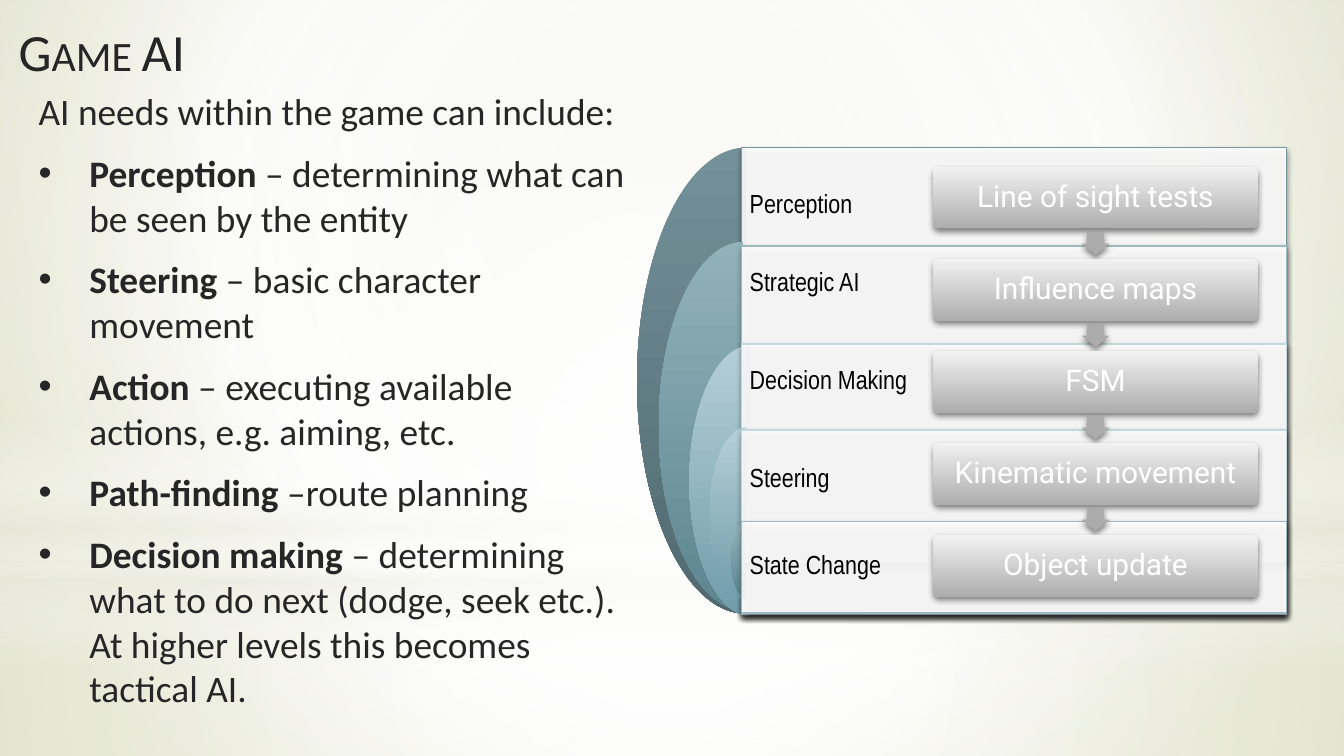
"""Build the Game AI slide with its layered stack and process column."""
from dataclasses import dataclass

from lxml import etree
from pptx import Presentation
from pptx.dml.color import RGBColor
from pptx.enum.shapes import MSO_SHAPE
from pptx.enum.text import MSO_ANCHOR, MSO_AUTO_SIZE, PP_ALIGN
from pptx.oxml.ns import qn
from pptx.util import Cm, Pt

RECTANGLE, ELLIPSE, PIE = MSO_SHAPE.RECTANGLE, MSO_SHAPE.OVAL, MSO_SHAPE.PIE
ROUNDED, ARROW = MSO_SHAPE.ROUNDED_RECTANGLE, MSO_SHAPE.RIGHT_ARROW
MIDDLE, LEFT, CENTER = MSO_ANCHOR.MIDDLE, PP_ALIGN.LEFT, PP_ALIGN.CENTER
NO_FIT = MSO_AUTO_SIZE.NONE

WIDTH, HEIGHT = 25.4, 14.29
INK, WHITE, BLACK = "262626", "FFFFFF", "000000"
HALO = (50, 50, 50, 50)
STACK_LEFT, STACK_WIDTH = 14.02, 10.29
STEP_LEFT, STEP_TOP, STEP_WIDTH, STEP_HEIGHT, STEP_PITCH = 17.63, 3.15, 6.15, 1.17, 1.74
ARROW_LENGTH, ARROW_WIDTH = 0.43, 0.53


@dataclass
class Gradient:
    stops: list[tuple]
    focus: tuple | None = None


@dataclass
class Backdrop:
    kind: int
    top: float
    height: float
    gradient: Gradient


@dataclass
class Layer:
    label: str
    pie: tuple[float, float, float, float]
    top: float
    height: float
    label_height: float
    shades: tuple[str, str]
    outline: str


PAGE_GRADIENT = Gradient([(0, "E3E5D1"), (60, WHITE), (100, "CCD09F")], (20, 10, 20, 60))
BACKDROPS = [
    Backdrop(RECTANGLE, 10.64, 3.65, Gradient(
        [(0, WHITE, 91), (37, WHITE, 76), (100, "EAEBDE", 79)], HALO)),
    Backdrop(RECTANGLE, 0, 10.64, Gradient(
        [(0, WHITE, 89), (48, WHITE, 62), (100, "EAEBDE", 79)], HALO)),
    Backdrop(RECTANGLE, 7.85, 4.78, Gradient(
        [(0, WHITE, 0), (29, WHITE, 30), (45, "EAEBDE", 40),
         (55, WHITE, 26), (65, "EAEBDE", 60), (100, WHITE, 0)])),
    Backdrop(ELLIPSE, 3.33, 10.64, Gradient([(0, WHITE), (56, WHITE, 0)], HALO)),
]
DARK, MEDIUM, LIGHT = ("749199", "516970"), ("92B2BA", "5D8691"), ("B5CFD7", "719DAA")
LAYERS = [
    Layer("Perception", (12.04, 2.79, 4.11, 8.81), 2.79, 8.81, 2.18, DARK, "7C989F"),
    Layer("Strategic AI", (12.45, 4.57, 3.2, 6.96), 4.65, 6.96, 1.42, MEDIUM, "9DB9C1"),
    Layer("Decision Making", (13.03, 6.53, 2.31, 5.11), 6.5, 5.11, 1.42, LIGHT, "C3D8DE"),
    Layer("Steering", (13.41, 8.08, 1.4, 3.25), 8.13, 2.51, 1.85, LIGHT, "C3D8DE"),
    Layer("State Change", (13.82, 9.86, 0.53, 1.42), 9.86, 1.73, 1.68, MEDIUM, "9DB9C1"),
]
STEPS = ["Line of sight tests", "Influence maps", "FSM", "Kinematic movement", "Object update"]
INTRO = "AI needs within the game can include:"
NEEDS = [
    ("Perception", " – determining what can be seen by the entity"),
    ("Steering", " – basic character movement"),
    ("Action", " – executing available actions, e.g. aiming, etc."),
    ("Path-finding ", "–route planning"),
    ("Decision making ", "– determining what to do next (dodge, seek etc.). "
     "At higher levels this becomes tactical AI."),
]
BODY_FONT = {"name": "Calibri", "size": Pt(20)}
LABEL_FONT = {"name": "Arial Narrow", "size": Pt(14)}
STEP_FONT = {"name": "Roboto", "size": Pt(16)}


def colour(value: str) -> RGBColor:
    """Turn a hex string into a colour."""
    return RGBColor.from_string(value)


def apply(target, **values) -> None:
    """Set each named attribute on the target."""
    for name, value in values.items():
        setattr(target, name, value)


def add_child(parent, tag: str, **attributes):
    """Append a drawing element with its attributes."""
    return etree.SubElement(parent, qn(tag), {key: str(value) for key, value in attributes.items()})


def add_colour(parent, value: str, opacity: float = 100) -> None:
    """Append a colour element with its opacity in percent."""
    add_child(add_child(parent, "a:srgbClr", val=value), "a:alpha", val=int(opacity * 1000))


def paint_gradient(fill, properties, gradient: Gradient) -> None:
    """Replace a fill with a vertical or a focused gradient."""
    fill.solid()
    solid = properties.find(qn("a:solidFill"))
    element = etree.Element(qn("a:gradFill"), rotWithShape="1")
    stops = add_child(element, "a:gsLst")
    for position, *shade in gradient.stops:
        add_colour(add_child(stops, "a:gs", pos=position * 1000), *shade)
    if gradient.focus:
        circle = add_child(element, "a:path", path="circle")
        sides = {side: value * 1000 for side, value in zip("ltrb", gradient.focus)}
        add_child(circle, "a:fillToRect", **sides)
    else:
        add_child(element, "a:lin", ang=5400000, scaled=0)
    properties.replace(solid, element)


def draw_shape(shapes, kind: int, area: tuple, fill: str | Gradient, shadow: bool = False):
    """Add a borderless shape with a plain or gradient fill."""
    shape = shapes.add_shape(kind, *map(Cm, area))
    shape.shadow.inherit = False
    shape.line.fill.background()
    properties = shape._element.spPr
    if isinstance(fill, Gradient):
        paint_gradient(shape.fill, properties, fill)
    else:
        shape.fill.solid()
        shape.fill.fore_color.rgb = colour(fill)
    if shadow:
        effect = add_child(properties.find(qn("a:effectLst")), "a:outerShdw", blurRad=Pt(3.1),
                           dist=Pt(1.8), dir=5400000, algn="ctr", rotWithShape=0)
        add_colour(effect, BLACK, 45)
    return shape


def add_span(para, text: str, ink: str, **font) -> None:
    """Append a formatted run to a paragraph."""
    span = para.add_run()
    span.text = text
    apply(span.font, **font)
    span.font.color.rgb = colour(ink)


def write_label(shape, text: str, ink: str, align, margin: float, font: dict) -> None:
    """Write one vertically centred line in a shape."""
    margins = {f"margin_{side}": Cm(margin) for side in ("left", "top", "right", "bottom")}
    apply(shape.text_frame, word_wrap=True, vertical_anchor=MIDDLE, **margins)
    para = shape.text_frame.paragraphs[0]
    apply(para, alignment=align, line_spacing=0.9)
    add_span(para, text, ink, **font)


def draw_layer(shapes, layer: Layer) -> None:
    """Draw a half ellipse, its panel and its label."""
    top, bottom = layer.shades
    pie = draw_shape(shapes, PIE, layer.pie, Gradient([(0, top), (100, bottom)]))
    pie.adjustments[0], pie.adjustments[1] = 54, 162
    area = (STACK_LEFT, layer.top, STACK_WIDTH, layer.height)
    panel = draw_shape(shapes, RECTANGLE, area, WHITE, shadow=True)
    shade = panel._element.spPr.find(qn("a:solidFill"))[0]
    add_child(shade, "a:alpha", val=90000)
    panel.line.color.rgb = colour(layer.outline)
    panel.line.width = Pt(0.75)
    box = shapes.add_textbox(*map(Cm, (STACK_LEFT, layer.top, STACK_WIDTH, layer.label_height)))
    write_label(box, layer.label, BLACK, LEFT, 0.15, LABEL_FONT)


def draw_step(shapes, index: int, text: str) -> None:
    """Draw a process step with an arrow from the step above."""
    top = STEP_TOP + index * STEP_PITCH
    if index:
        gap_middle = top - (STEP_PITCH - STEP_HEIGHT) / 2
        area = (STEP_LEFT + (STEP_WIDTH - ARROW_LENGTH) / 2, gap_middle - ARROW_WIDTH / 2,
                ARROW_LENGTH, ARROW_WIDTH)
        arrow = draw_shape(shapes, ARROW, area, "ABABAB", shadow=True)
        arrow.rotation = 90
        arrow.adjustments[0], arrow.adjustments[1] = 0.6, 0.5
    step = draw_shape(shapes, ROUNDED, (STEP_LEFT, top, STEP_WIDTH, STEP_HEIGHT),
                      Gradient([(0, "F2F2F2"), (100, "ADADAD")]), shadow=True)
    step.adjustments[0] = 0.1
    write_label(step, text, WHITE, CENTER, 0.18, STEP_FONT)


def write_title(page) -> None:
    """Place the title above the backdrop in small capitals."""
    title = page.shapes.title
    page.shapes._spTree.append(title._element)
    apply(title, left=Cm(0.1), top=Cm(0.15), width=Cm(16.7), height=Cm(1.6))
    apply(title.text_frame, vertical_anchor=MIDDLE, auto_size=NO_FIT, word_wrap=True)
    para = title.text_frame.paragraphs[0]
    para.alignment = LEFT
    add_span(para, "Game AI", INK, name="Calibri", size=Pt(28))
    para.runs[0].font._element.set("cap", "small")


def write_needs(page) -> None:
    """Write the introduction and the bulleted needs."""
    frame = page.shapes.add_textbox(Cm(0.48), Cm(1.55), Cm(11.63), Cm(12.12)).text_frame
    frame.word_wrap = True
    para = frame.paragraphs[0]
    para.space_after = Pt(9)
    add_span(para, INTRO, INK, **BODY_FONT)
    for term, meaning in NEEDS:
        para = frame.add_paragraph()
        para.space_after = Pt(9)
        properties = para._element.get_or_add_pPr()
        properties.set("marL", str(Cm(0.96)))
        properties.set("indent", str(-Cm(0.96)))
        add_child(properties, "a:buFont", typeface="Arial")
        add_child(properties, "a:buChar", char="•")
        add_span(para, term, INK, bold=True, **BODY_FONT)
        add_span(para, meaning, INK, bold=False, **BODY_FONT)


def main() -> None:
    """Build and save the deck."""
    deck = Presentation()
    apply(deck, slide_width=Cm(WIDTH), slide_height=Cm(HEIGHT))
    page = deck.slides.add_slide(deck.slide_layouts[5])
    fill = page.background.fill
    fill.solid()
    paint_gradient(fill, page._element.find(".//" + qn("p:bgPr")), PAGE_GRADIENT)
    for backdrop in BACKDROPS:
        area = (0, backdrop.top, WIDTH, backdrop.height)
        draw_shape(page.shapes, backdrop.kind, area, backdrop.gradient)
    write_title(page)
    stack = page.shapes.add_group_shape().shapes
    for layer in LAYERS:
        draw_layer(stack, layer)
    process = page.shapes.add_group_shape().shapes
    for index, text in enumerate(STEPS):
        draw_step(process, index, text)
    write_needs(page)
    deck.save("out.pptx")


if __name__ == "__main__":
    main()
